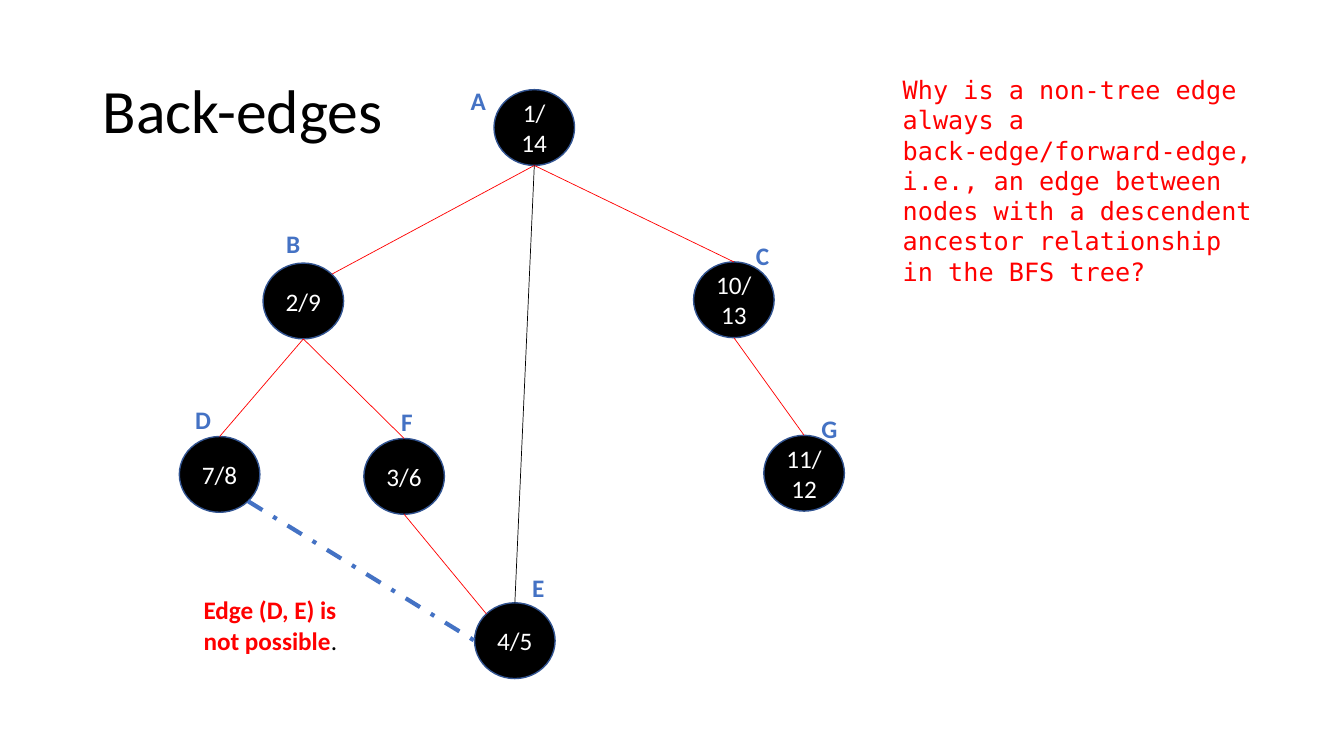
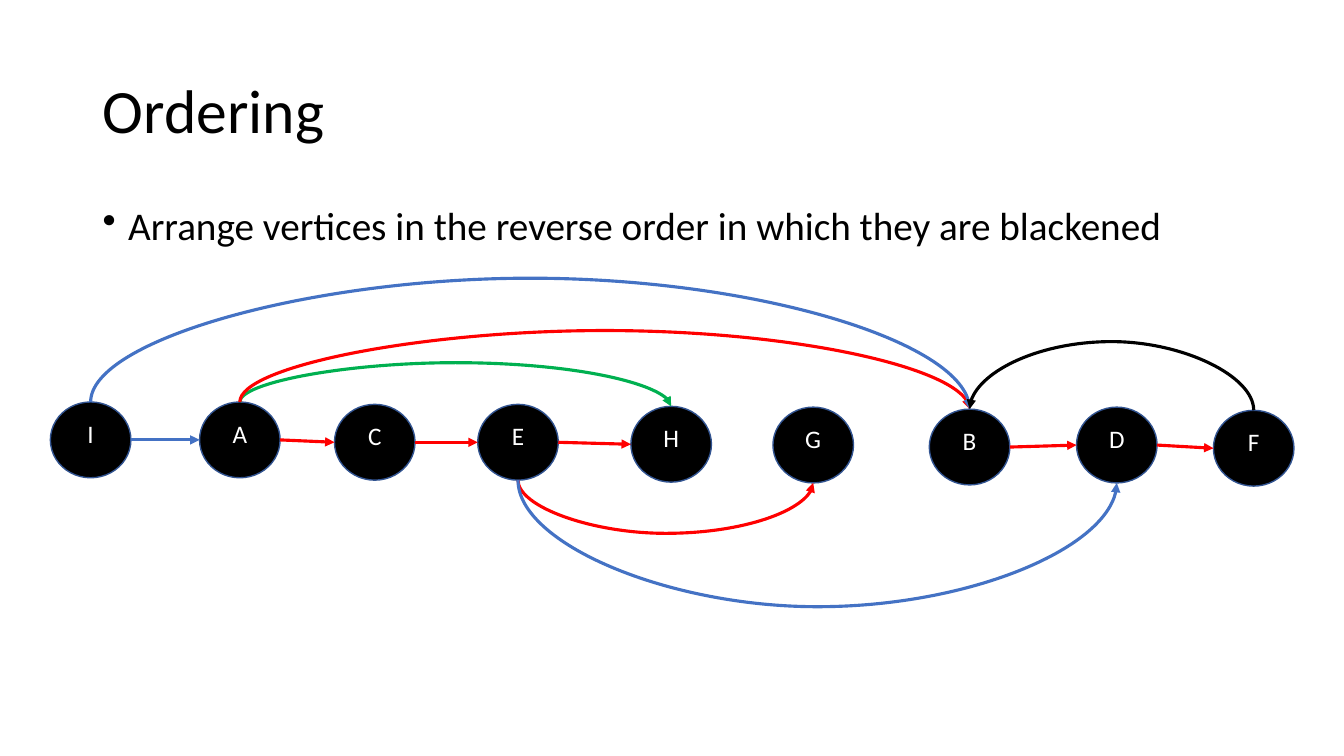
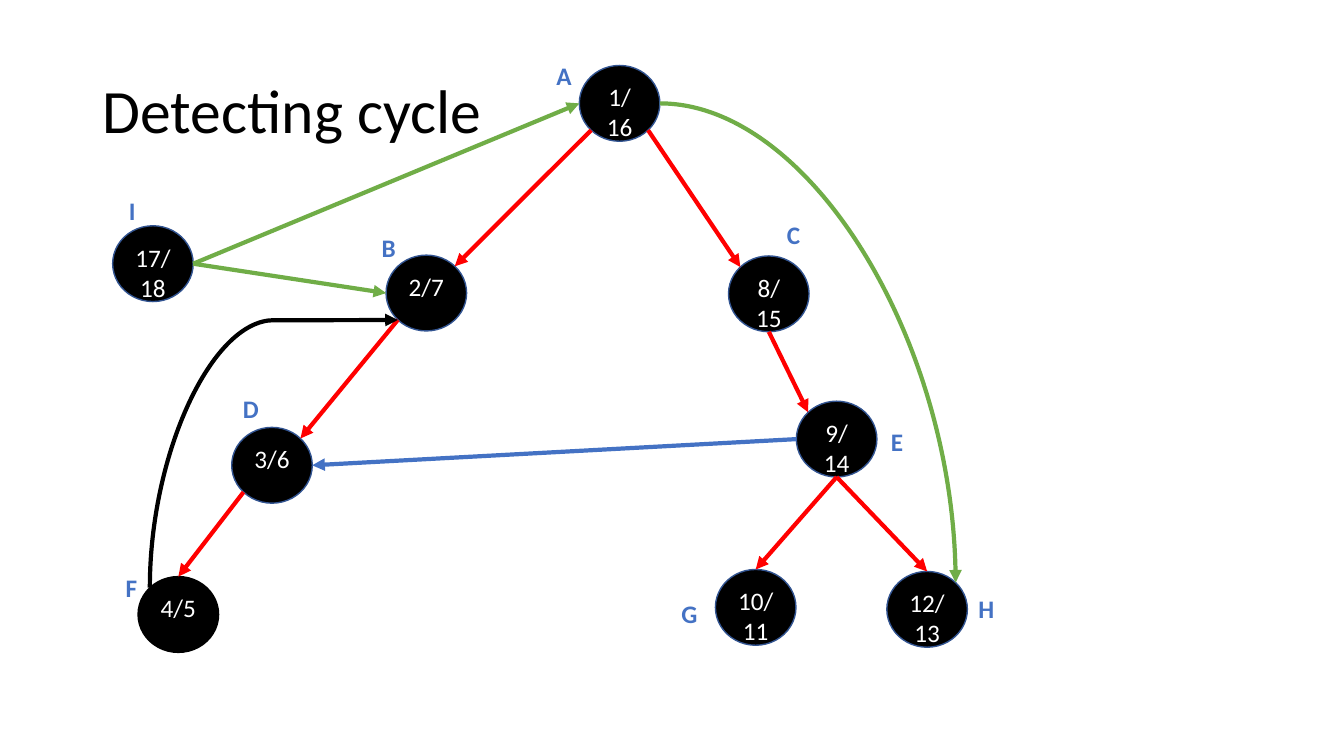
import math

from lxml import etree
from pptx import Presentation
from pptx.dml.color import RGBColor
from pptx.enum import dml, shapes, text
from pptx.oxml import ns
from pptx.util import Cm, Pt

BLACK, WHITE, RED = "000000", "FFFFFF", "FF0000"
BLUE, OUTLINE = "4472C4", "325491"
GREEN, BRIGHT_GREEN = "70AD47", "00B050"

# Connection sites of an ellipse, counter-clockwise from the top
(TOP, TOP_LEFT, LEFT, BOTTOM_LEFT,
 BOTTOM, BOTTOM_RIGHT, RIGHT, TOP_RIGHT) = range(8)


def rgb(value):
    return RGBColor.from_string(value)


def add_xml(parent, tag, **attributes):
    return etree.SubElement(parent, ns.qn(tag), attributes)


class Deck:
    """Holds the shared style, the current slide and its graph nodes."""

    font = "Calibri"
    node_size = (2.03, 1.91)
    label_size = (1.98, 1.02)

    def __init__(self):
        self.presentation = Presentation()
        self.presentation.slide_width = Cm(33.87)
        self.presentation.slide_height = Cm(19.05)

    def new_slide(self, title):
        layout = self.presentation.slide_layouts[6]
        self.slide = self.presentation.slides.add_slide(layout)
        self.nodes = {}
        paragraph = self.text_box(2.34, 1.02, 29.21, 3.68, text.MSO_ANCHOR.MIDDLE)
        paragraph.line_spacing = 0.9
        self.run(paragraph, title, 44)

    def run(self, paragraph, words, size=18, color=BLACK, bold=False, font=None):
        run = paragraph.add_run()
        run.text = words
        run.font.name = font or self.font
        run.font.size = Pt(size)
        run.font.bold = bold
        run.font.color.rgb = rgb(color)

    def text_box(self, left, top, width, height, anchor=text.MSO_ANCHOR.TOP):
        box = self.slide.shapes.add_textbox(Cm(left), Cm(top), Cm(width), Cm(height))
        box.text_frame.word_wrap = True
        box.text_frame.vertical_anchor = anchor
        return box.text_frame.paragraphs[0]

    def bullet(self, words):
        paragraph = self.text_box(2.34, 5.08, 29.21, 12.09)
        paragraph.line_spacing = 0.9
        properties = paragraph._p.get_or_add_pPr()
        indent = Cm(0.64)
        properties.set("marL", str(indent))
        properties.set("indent", str(-indent))
        add_xml(properties, "a:buChar", char="•")
        self.run(paragraph, words, 28)

    def label(self, name, left, top):
        self.run(self.text_box(left, top, *self.label_size), name, color=BLUE, bold=True)

    def node(self, name, words, left, top, anchor=text.MSO_ANCHOR.TOP, outline=OUTLINE):
        width, height = self.node_size
        shape = self.slide.shapes.add_shape(
            shapes.MSO_SHAPE.OVAL, Cm(left), Cm(top), Cm(width), Cm(height))
        shape.shadow.inherit = False
        shape.fill.solid()
        shape.fill.fore_color.rgb = rgb(BLACK)
        shape.line.color.rgb = rgb(outline)
        shape.line.width = Pt(1)
        frame = shape.text_frame
        frame.word_wrap = True
        frame.vertical_anchor = anchor
        for index, line in enumerate(words.split("\n")):
            paragraph = frame.add_paragraph() if index else frame.paragraphs[0]
            paragraph.alignment = text.PP_ALIGN.CENTER
            self.run(paragraph, line, color=WHITE)
        self.nodes[name] = shape

    def site(self, name, index):
        """Point of a connection site on a node."""
        shape = self.nodes[name]
        angle = math.radians(90 + 45 * index)
        return (round(shape.left + shape.width / 2 * (1 + math.cos(angle))),
                round(shape.top + shape.height / 2 * (1 - math.sin(angle))))

    def connector(self, kind, begin, end, start, stop, color, width, arrow, dash=None):
        """Draw from point begin to point end, glued to sites start and stop."""
        line = self.slide.shapes.add_connector(kind, *begin, *end)
        line.line.color.rgb = rgb(color)
        line.line.width = Pt(width)
        if dash:
            line.line.dash_style = dash
        if arrow:
            add_xml(line.line._get_or_add_ln(), "a:tailEnd", type="triangle")
        add_xml(line._element.spPr, "a:effectLst")
        glue = line._element.nvCxnSpPr.cNvCxnSpPr
        for tag, (name, index) in (("a:stCxn", start), ("a:endCxn", stop)):
            add_xml(glue, tag, id=str(self.nodes[name].shape_id), idx=str(index))
        return line

    def edge(self, start, stop, color=RED, width=3, arrow=True, dash=None):
        self.connector(shapes.MSO_CONNECTOR.STRAIGHT, self.site(*start),
                       self.site(*stop), start, stop, color, width, arrow, dash)

    def arch(self, start, stop, level, color, width=2.25):
        """Curve that leaves vertically and turns at the height level."""
        (x1, y1), (x2, y2) = self.site(*start), self.site(*stop)
        middle_x, middle_y = (x1 + x2) / 2, (y1 + y2) / 2
        # The frame lies on its side, so its corners are turned back first
        begin, end = [(round(middle_x - y + middle_y), round(middle_y + x - middle_x))
                      for x, y in ((x1, y1), (x2, y2))]
        line = self.connector(shapes.MSO_CONNECTOR.CURVE, begin, end,
                              start, stop, color, width, True)
        line._element.spPr.find(ns.qn("a:xfrm")).set("rot", str(270 * 60000))
        bend = round((Cm(level) - y1) / (y2 - y1) * 100000)
        adjustments = line._element.spPr.find(ns.qn("a:prstGeom")).find(ns.qn("a:avLst"))
        add_xml(adjustments, "a:gd", name="adj1", fmla=f"val {bend}")

    def quarter_curve(self, start, stop, color, width=3):
        line = self.connector(shapes.MSO_CONNECTOR.CURVE, self.site(*start),
                              self.site(*stop), start, stop, color, width, True)
        line._element.spPr.find(ns.qn("a:prstGeom")).set("prst", "curvedConnector2")


def back_edges(deck):
    deck.new_slide("Back-edges")

    # Nodes: name, times, position, label position
    for name, times, left, top, label_left, label_top in (
            ("A", "1/\n14", 12.45, 2.26, 11.61, 2.03),
            ("B", "2/9", 6.63, 6.63, 6.96, 5.64),
            ("C", "10/13", 17.48, 6.6, 18.8, 5.94),
            ("D", "7/8", 4.52, 11, 4.67, 10.06),
            ("E", "4/5", 11.96, 15.19, 13.16, 14.3),
            ("F", "3/6", 9.17, 11.05, 9.86, 10.11),
            ("G", "11/12", 19.25, 10.97, 20.45, 10.29)):
        deck.node(name, times, left, top, text.MSO_ANCHOR.MIDDLE)
        deck.label(name, label_left, label_top)

    # Tree edges, then the back edge and the impossible edge
    for parent, child, site in (("A", "C", TOP), ("A", "B", TOP_RIGHT), ("B", "D", TOP),
                                ("B", "F", TOP), ("C", "G", TOP), ("F", "E", TOP_LEFT)):
        deck.edge((parent, BOTTOM), (child, site), width=0.5, arrow=False)
    deck.edge(("E", TOP), ("A", BOTTOM), BLACK, 0.5, arrow=False)
    deck.edge(("D", BOTTOM_RIGHT), ("E", LEFT), BLUE, arrow=False,
              dash=dml.MSO_LINE.DASH_DOT)

    # Notes
    question = deck.text_box(22.5, 1.75, 9.58, 5.64)
    deck.run(question, "Why is a non-tree edge always a back-edge/forward-edge, "
             "i.e., an edge between nodes with a descendent ancestor relationship "
             "in the BFS tree?", color=RED, font="DejaVu Sans Mono")
    remark = deck.text_box(4.88, 14.86, 4.06, 1.8)
    deck.run(remark, "Edge (D, E) is not possible", color=RED, bold=True)
    deck.run(remark, ".")


def ordering(deck):
    deck.new_slide("Ordering")
    deck.bullet("Arrange vertices in the reverse order in which they are blackened")

    # Row of vertices
    for name, left, top in (
            ("I", 1.27, 10.13), ("A", 5.03, 10.13), ("C", 8.43, 10.19),
            ("E", 12.04, 10.19), ("H", 15.9, 10.24), ("G", 19.48, 10.26),
            ("B", 23.42, 10.31), ("D", 27.13, 10.26), ("F", 30.58, 10.34)):
        deck.node(name, name, left, top)

    # Edges between neighbours
    for start, stop in ("IA", "AC", "CE", "EH", "BD", "DF"):
        deck.edge((start, RIGHT), (stop, LEFT), BLUE if start == "I" else RED, 2.25)

    # Arches below and above the row
    for start, stop, site, level, color in (
            ("E", "G", BOTTOM, 13.44, RED), ("E", "D", BOTTOM, 15.29, BLUE),
            ("A", "H", TOP, 9.14, BRIGHT_GREEN), ("A", "B", TOP, 8.33, RED),
            ("I", "B", TOP, 7.01, BLUE), ("F", "B", TOP, 8.61, BLACK)):
        deck.arch((start, site), (stop, site), level, color)


def detecting_cycle(deck):
    deck.new_slide("Detecting cycle")

    # Nodes: name, times, position, label position
    for name, times, left, top, label_left, label_top in (
            ("A", "1/\n16", 14.6, 1.65, 13.77, 1.4),
            ("B", "2/7", 9.73, 6.43, 9.37, 5.74),
            ("C", "8/\n15", 18.36, 6.45, 19.58, 5.41),
            ("D", "3/6", 5.84, 10.77, 5.87, 9.78),
            ("E", "9/\n14", 20.07, 10.11, 22.2, 10.62),
            ("F", "4/5", 3.48, 14.53, 2.92, 14.3),
            ("G", "10/11", 18.03, 14.35, 16.92, 14.94),
            ("H", "12/13", 22.35, 14.4, 24.41, 14.83),
            ("I", "17/\n18", 2.84, 5.69, 3, 4.8)):
        deck.node(name, times, left, top, outline=BLACK if name == "F" else OUTLINE)
        deck.label(name, label_left, label_top)

    # Tree edges
    for start, stop in (
            (("A", BOTTOM_LEFT), ("B", TOP_RIGHT)), (("B", BOTTOM_LEFT), ("D", TOP_RIGHT)),
            (("D", BOTTOM_LEFT), ("F", TOP)), (("E", BOTTOM), ("G", TOP)),
            (("E", BOTTOM), ("H", TOP)), (("A", BOTTOM_RIGHT), ("C", TOP_LEFT)),
            (("C", BOTTOM), ("E", TOP_LEFT))):
        deck.edge(start, stop)

    # Cross, forward and back edges
    deck.edge(("E", LEFT), ("D", RIGHT), BLUE)
    for target in "BA":
        deck.edge(("I", RIGHT), (target, LEFT), GREEN)
    deck.arch(("F", TOP_LEFT), ("B", BOTTOM_LEFT), 8.07, BLACK, 3)
    deck.quarter_curve(("A", RIGHT), ("H", TOP_RIGHT), GREEN)


def main():
    deck = Deck()
    back_edges(deck)
    ordering(deck)
    detecting_cycle(deck)
    deck.presentation.save("out.pptx")


if __name__ == "__main__":
    main()
